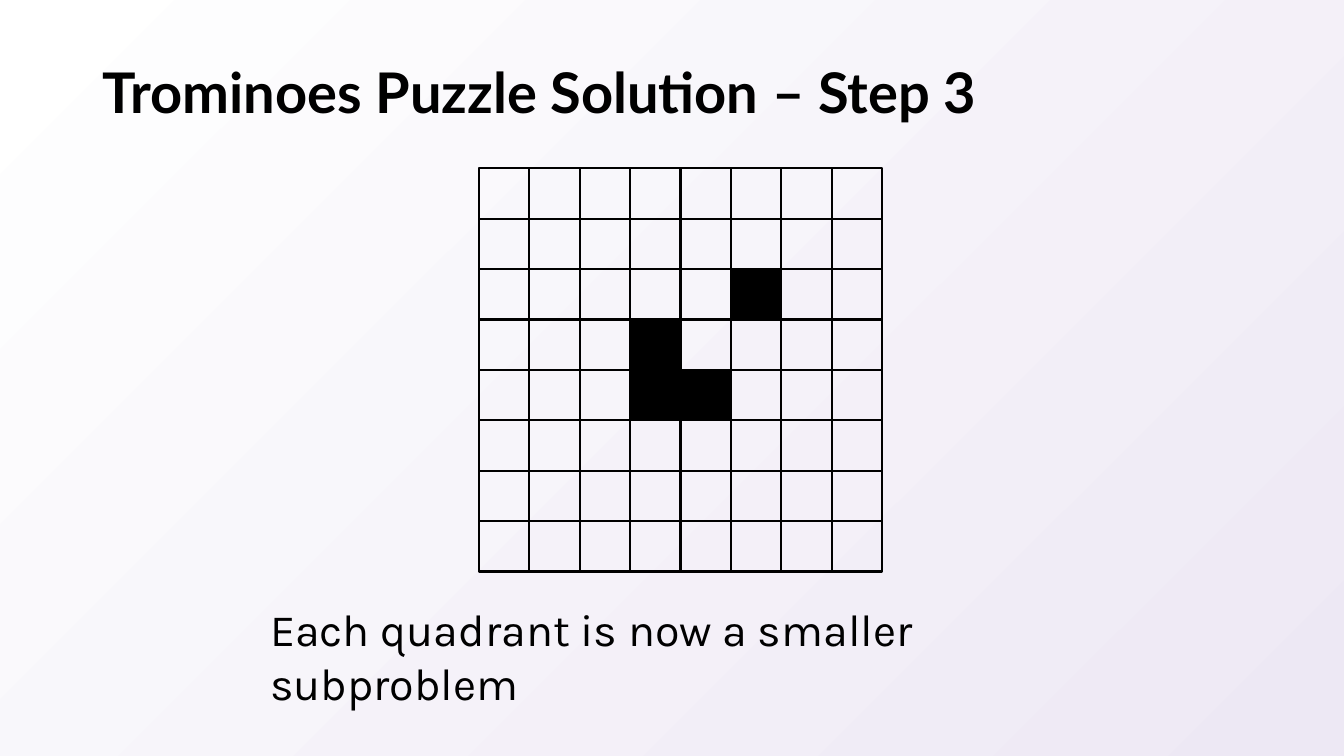
from pptx import Presentation
from pptx import util as u
from pptx.dml import color
from pptx.enum import shapes, text

COLORS = {"ink": "000000", "bg_start": "FFFFFF", "bg_end": "EDE8F4"}
QUADRANT = 4
FILLED = {(2, 5), (3, 3), (4, 3), (4, 4)}


def rgb(name):
    """Return the named palette colour."""
    return color.RGBColor.from_string(COLORS[name])


def paint_background(s):
    """Fill the slide with a diagonal gradient."""
    fill = s.background.fill
    fill.gradient()
    fill.gradient_angle = 315
    for stop, name in zip(fill.gradient_stops, ("bg_start", "bg_end")):
        stop.color.rgb = rgb(name)


def add_text(s, box, words, font, size, bold=False):
    """Place one wrapped paragraph in the box and return its text frame."""
    tf = s.shapes.add_textbox(*map(u.Inches, box)).text_frame
    tf.word_wrap = True
    p = tf.paragraphs[0]
    p.text = words
    r = p.runs[0]
    r.font.name, r.font.size, r.font.bold = font, u.Pt(size), bold
    r.font.color.rgb = rgb("ink")
    return tf


def add_title(s, box, words):
    """Place the bold, vertically centred slide title."""
    tf = add_text(s, box, words, "Lato", 40, True)
    tf.vertical_anchor = text.MSO_ANCHOR.MIDDLE
    tf.paragraphs[0].line_spacing = 0.9


def add_caption(s, box, words):
    """Place the caption in a box that grows with its text."""
    tf = add_text(s, box, words, "Karla", 32)
    tf.auto_size = text.MSO_AUTO_SIZE.SHAPE_TO_FIT_TEXT


def add_quadrant(s, box, first_row, first_col):
    """Group the square cells of one quadrant inside the box."""
    left, top, side = box
    cell = side / QUADRANT
    group = s.shapes.add_group_shape()
    for row in range(QUADRANT):
        for col in range(QUADRANT):
            sp = group.shapes.add_shape(
                shapes.MSO_SHAPE.RECTANGLE,
                u.Inches(left + col * cell), u.Inches(top + row * cell),
                u.Inches(cell), u.Inches(cell))
            sp.shadow.inherit = False
            sp.line.color.rgb = rgb("ink")
            sp.line.width = u.Pt(1.5)
            if (first_row + row, first_col + col) in FILLED:
                sp.fill.solid()
                sp.fill.fore_color.rgb = rgb("ink")
            else:
                sp.fill.background()


def add_board(s, box):
    """Divide the square board into four quadrants."""
    left, top, side = box
    half = side / 2
    for row in range(2):
        for col in range(2):
            add_quadrant(s, (left + col * half, top + row * half, half),
                         row * QUADRANT, col * QUADRANT)


def main():
    """Build and save the slide."""
    prs = Presentation()
    prs.slide_width, prs.slide_height = u.Inches(13.33), u.Inches(7.5)
    s = prs.slides.add_slide(prs.slide_layouts[6])
    paint_background(s)
    add_title(s, (0.92, 0.4, 11.5, 1.09), "Trominoes Puzzle Solution – Step 3")
    add_board(s, (4.75, 1.67, 4))
    add_caption(s, (2.58, 5.92, 8.17, 0.64),
                "Each quadrant is now a smaller subproblem")
    prs.save("out.pptx")


if __name__ == "__main__":
    main()
